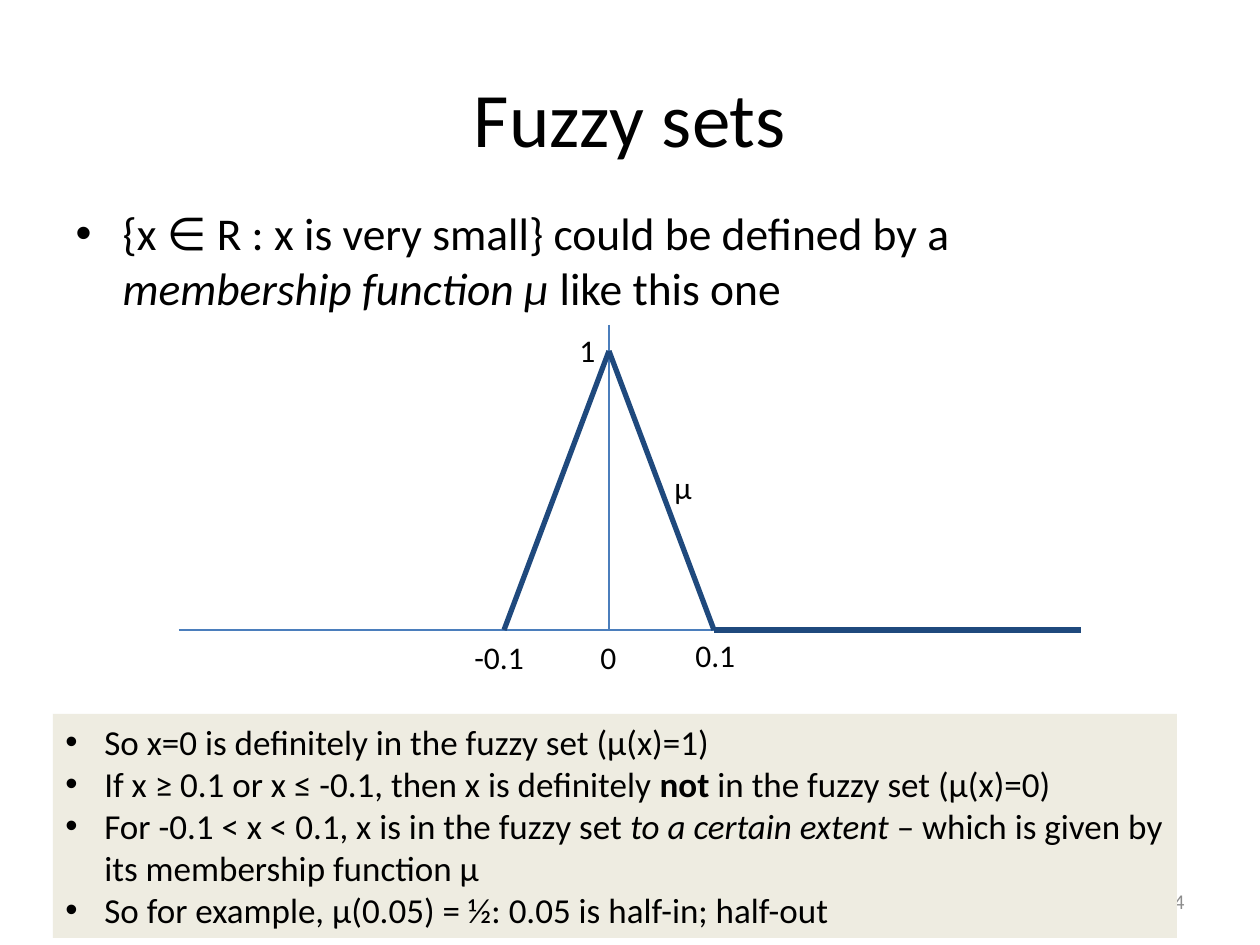
import dataclasses

import lxml.etree
import pptx
import pptx.dml.color
import pptx.enum.shapes
import pptx.enum.text
import pptx.oxml.ns
import pptx.util


@dataclasses.dataclass(frozen=True)
class Theme:
    """Hold the colours, typeface and type sizes of the slide."""
    font: str = "Calibri"
    ink: str = "000000"
    muted: str = "8C8C8C"
    axis: str = "4B7EBC"
    curve: str = "1F497D"
    panel: str = "EEECE1"
    title_size: int = 44
    body_size: int = 26
    note_size: int = 20
    label_size: int = 18
    number_size: int = 12
    axis_width: float = 0.75
    curve_width: int = 3


THEME = Theme()
SCALE = pptx.util.Inches(1) / 126
ALIGN = pptx.enum.text.PP_ALIGN
ANCHOR = pptx.enum.text.MSO_ANCHOR
FIT = pptx.enum.text.MSO_AUTO_SIZE


def px(*lengths):
    """Turn pixel lengths into EMU."""
    return [round(length * SCALE) for length in lengths]


def color(code):
    """Return a colour from its hexadecimal code."""
    return pptx.dml.color.RGBColor.from_string(code)


def style_para(para, size, code=THEME.ink, align=ALIGN.LEFT):
    """Format every run of a paragraph alike."""
    para.alignment = align
    for span in para.runs:
        span.font.name = THEME.font
        span.font.size = pptx.util.Pt(size)
        span.font.color.rgb = color(code)


def fill_bullet(para, pieces, size, indent):
    """Write a bulleted paragraph from (text, style) pieces."""
    properties = para._p.get_or_add_pPr()
    margin = px(indent)[0]
    properties.set("marL", str(margin))
    properties.set("indent", str(-margin))
    font = lxml.etree.SubElement(properties, pptx.oxml.ns.qn("a:buFont"))
    font.set("typeface", "Arial")
    bullet = lxml.etree.SubElement(properties, pptx.oxml.ns.qn("a:buChar"))
    bullet.set("char", "•")
    para.space_before = pptx.util.Pt(0)
    for text, style in pieces:
        span = para.add_run()
        span.text = text
        if style == "bold":
            span.font.bold = True
        elif style == "italic":
            span.font.italic = True
    style_para(para, size)


def add_label(page, box, text, size=THEME.label_size, code=THEME.ink,
              align=ALIGN.LEFT, anchor=ANCHOR.TOP, wrap=False):
    """Add a one-line text box."""
    frame = page.shapes.add_textbox(*px(*box)).text_frame
    frame.word_wrap = wrap
    frame.auto_size = FIT.NONE if wrap else FIT.SHAPE_TO_FIT_TEXT
    frame.vertical_anchor = anchor
    frame.text = text
    style_para(frame.paragraphs[0], size, code, align)


def add_line(page, start, end, code, width):
    """Add a straight line without a shadow."""
    line = page.shapes.add_connector(
        pptx.enum.shapes.MSO_CONNECTOR.STRAIGHT, *px(*start, *end))
    line.line.color.rgb = color(code)
    line.line.width = pptx.util.Pt(width)
    lxml.etree.SubElement(line._element.spPr, pptx.oxml.ns.qn("a:effectLst"))


def place(shape, box):
    """Move a shape into a pixel box."""
    shape.left, shape.top, shape.width, shape.height = px(*box)


def fill_title(page, box):
    """Place and write the title."""
    title = page.shapes.title
    place(title, box)
    title.text_frame.text = "Fuzzy sets"
    title.text_frame.vertical_anchor = ANCHOR.MIDDLE
    style_para(title.text_frame.paragraphs[0], THEME.title_size, align=ALIGN.CENTER)


def fill_body(page, box):
    """Place and write the definition."""
    body = page.placeholders[1]
    place(body, box)
    body.text_frame.auto_size = FIT.NONE
    fill_bullet(body.text_frame.paragraphs[0], [
        ("{x ∈ R : x is very small} could be defined by a ", ""),
        ("membership function μ ", "italic"),
        ("like this one", ""),
    ], THEME.body_size, 47)


def draw_membership(page, box):
    """Draw the triangular membership function on its axes."""
    left, top, width, height = box
    right, base = left + width, top + height
    centre, half = left + 430, 105
    peak = (centre, top + 26)
    zero, one = (centre - half, base), (centre + half, base)
    for start, end in (((centre, top), (centre, base)), ((left, base), (right, base))):
        add_line(page, start, end, THEME.axis, THEME.axis_width)
    for start, end in ((zero, peak), (peak, one), (one, (right + 143, base))):
        add_line(page, start, end, THEME.curve, THEME.curve_width)
    for text, x, y, label_width, wrap in (
        ("0", centre - 21, base + 2, 42, False),
        ("1", centre - 42, top, 42, False),
        ("-0.1", centre - 147, base + 2, 126, True),
        ("0.1", centre + 74, base, 65, False),
        ("μ", centre + 53, top + 137, 43, False),
    ):
        add_label(page, (x, y, label_width, 51), text, wrap=wrap)


def add_notes_panel(page, box):
    """Add the shaded panel of conclusions."""
    panel = page.shapes.add_shape(pptx.enum.shapes.MSO_SHAPE.RECTANGLE, *px(*box))
    panel.shadow.inherit = False
    panel.fill.solid()
    panel.fill.fore_color.rgb = color(THEME.panel)
    panel.line.fill.background()
    frame = panel.text_frame
    frame.word_wrap = True
    frame.auto_size = FIT.SHAPE_TO_FIT_TEXT
    frame.vertical_anchor = ANCHOR.TOP
    notes = (
        [("So x=0 is definitely in the fuzzy set (μ(x)=1)", "")],
        [("If x ≥ 0.1 or x ≤ -0.1, then x is definitely ", ""),
         ("not", "bold"), (" in the fuzzy set (μ(x)=0)", "")],
        [("For -0.1 < x < 0.1, x is in the fuzzy set ", ""),
         ("to a certain extent ", "italic"),
         ("– which is given by its membership function μ", "")],
        [("So for example, μ(0.05) = ½: 0.05 is half-in; half-out", "")],
    )
    for index, pieces in enumerate(notes):
        para = frame.add_paragraph() if index else frame.paragraphs[0]
        fill_bullet(para, pieces, THEME.note_size, 39)


def main():
    """Build the slide and save the deck."""
    deck = pptx.Presentation()
    deck.slide_width, deck.slide_height = px(1260, 945)
    page = deck.slides.add_slide(deck.slide_layouts[1])
    fill_title(page, (63, 38, 1134, 158))
    fill_body(page, (63, 199, 1134, 624))
    draw_membership(page, (179, 325, 759, 305))
    add_label(page, (903, 876, 294, 50), "54", THEME.number_size, THEME.muted,
              ALIGN.RIGHT, ANCHOR.MIDDLE, True)
    add_notes_panel(page, (53, 714, 1124, 224))
    deck.save("out.pptx")


if __name__ == "__main__":
    main()
